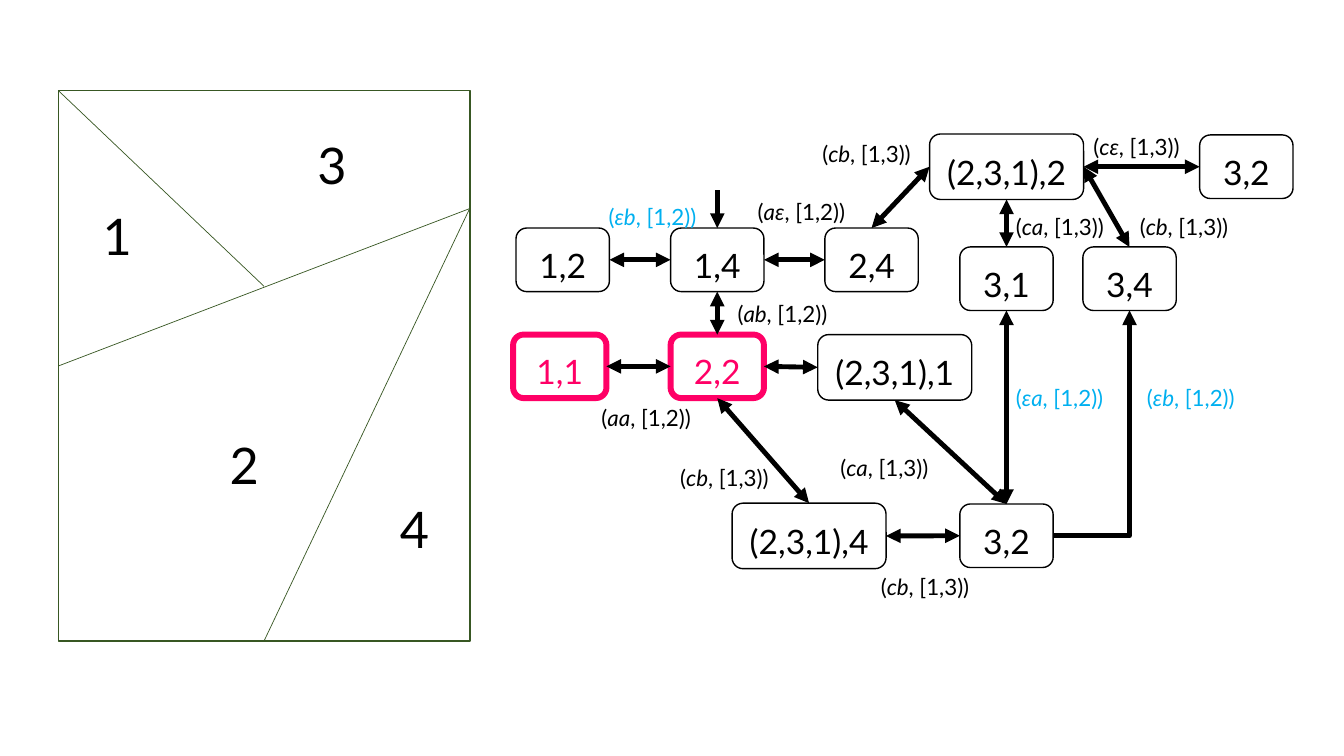
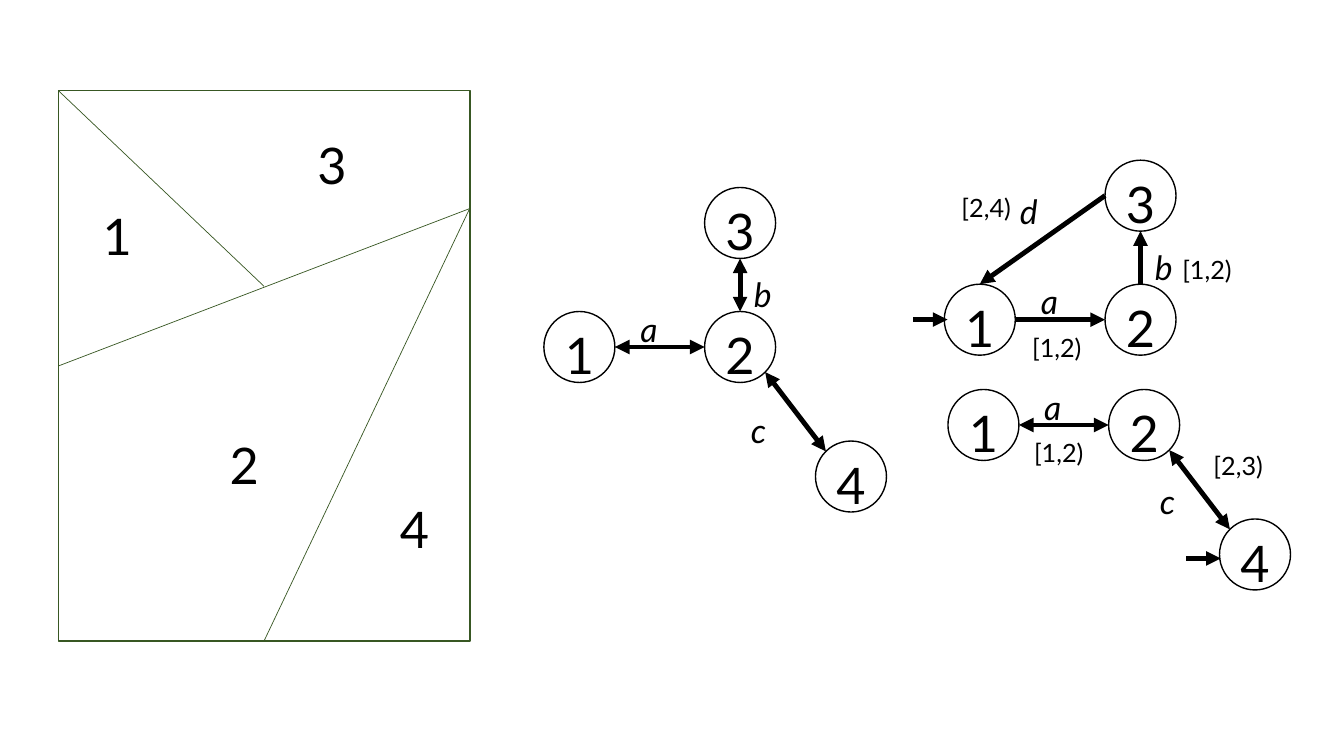
from dataclasses import dataclass
from math import sqrt
from lxml import etree
from pptx import Presentation
from pptx.dml.color import RGBColor
from pptx.enum import shapes, text
from pptx.oxml.ns import qn
from pptx.util import Pt


@dataclass(frozen=True)
class Theme:
    font: str = "Lato"
    ink: str = "000000"
    cyan: str = "00B0F0"
    pink: str = "FF0066"
    green: str = "385723"
    region_size: int = 36
    state_size: int = 24
    interval_size: int = 18
    edge_size: int = 16
    hairline: float = 0.5
    outline: float = 1
    arrow: float = 3.5
    highlight: float = 4.25


THEME = Theme()

MAP_FRAME = (41.8, 64.8, 293.8, 393.1)
FORK = (335.5, 149)
MAP_BORDERS = [
    (FORK, (188.6, 457.9)),
    (FORK, (41.8, 261.4)),
    ((41.8, 64.8), (188.6, 204.5)),
]
MAP_REGIONS = [
    ("1", 66.2, 143.3),
    ("3", 219.6, 92.2),
    ("2", 157, 306.7),
    ("4", 278.6, 352.1),
]

SMALL, WIDE = (66.7, 45.4), (110, 46.8)
TOP, LEFT, BOTTOM, RIGHT = range(4)
STATES = {
    "start": ("1,4", 479, 162.9, SMALL),
    "west": ("1,2", 368.6, 162.9, SMALL),
    "east": ("2,4", 589.2, 162.9, SMALL),
    "goal 1": ("1,1", 366.5, 239, SMALL),
    "goal 2": ("2,2", 479, 239, SMALL),
    "triple 1": ("(2,3,1),1", 584.1, 239, WIDE),
    "triple 2": ("(2,3,1),2", 664, 95.7, WIDE),
    "triple 4": ("(2,3,1),4", 522.9, 359.4, WIDE),
    "lower": ("3,2", 685.6, 360, SMALL),
    "middle": ("3,1", 685.6, 176.4, SMALL),
    "right": ("3,4", 773.5, 176.4, SMALL),
    "corner": ("3,2", 856.9, 96.4, SMALL),
}
GOALS = ("goal 1", "goal 2")
TRANSITIONS = [
    ("west", RIGHT, "start", LEFT),
    ("start", RIGHT, "east", LEFT),
    ("goal 2", TOP, "start", BOTTOM),
    ("goal 2", LEFT, "goal 1", RIGHT),
    ("triple 1", LEFT, "goal 2", RIGHT),
    ("triple 4", TOP, "goal 2", BOTTOM),
    ("triple 4", RIGHT, "lower", LEFT),
    ("lower", TOP, "triple 1", BOTTOM),
    ("east", TOP, "triple 2", LEFT),
    ("middle", TOP, "triple 2", BOTTOM),
    ("right", TOP, "triple 2", RIGHT),
    ("lower", TOP, "middle", BOTTOM),
    ("triple 2", RIGHT, "corner", LEFT),
]
ENTRY = ((512.35, 136), (512.35, 162.9))
TRANSITION_LABELS = [
    ("aa", "[1,2)", 422.6, 285.1, THEME.ink),
    ("ab", "[1,2)", 519.8, 211, THEME.ink),
    ("εb", "[1,2)", 427.7, 141.8, THEME.cyan),
    ("aε", "[1,2)", 534.2, 138.2, THEME.ink),
    ("cb", "[1,3)", 478.8, 328.3, THEME.ink),
    ("ca", "[1,3)", 593.3, 321.1, THEME.ink),
    ("cb", "[1,3)", 622.1, 406.1, THEME.ink),
    ("εa", "[1,2)", 718.6, 270.7, THEME.cyan),
    ("εb", "[1,2)", 812.2, 270.7, THEME.cyan),
    ("cb", "[1,3)", 580.3, 96.5, THEME.ink),
    ("cε", "[1,3)", 774, 91.4, THEME.ink),
    ("ca", "[1,3)", 718.6, 149, THEME.ink),
    ("cb", "[1,3)", 807.1, 149, THEME.ink),
]

CIRCLE = 50.7
ENTRY_LENGTH = 24.5
CIRCLE_OFFSETS = {"1": (0, 0), "2": (114.8, 0), "3": (114.8, -88.6), "4": (194, 92.5)}
DIAGONAL = sqrt(0.5)
COMPASS = {
    "n": (0, -1), "s": (0, 1), "w": (-1, 0), "e": (1, 0),
    "nw": (-DIAGONAL, -DIAGONAL), "se": (DIAGONAL, DIAGONAL),
}
ROUTES = {
    "a": ("1", "e", "2", "w"),
    "b": ("2", "n", "3", "s"),
    "c": ("2", "se", "4", "nw"),
    "d": ("3", "w", "1", "n"),
}
GRAPHS = [
    {
        "origin": (388.5, 222.5), "circles": "1243", "both": True, "entry": None,
        "letters": [("a", 61.9, -5.6), ("c", 140.7, 67), ("b", 142.9, -30.2)],
        "intervals": [],
    },
    {
        "origin": (674.5, 203), "circles": "123", "both": False, "entry": (-22.2, 25.3),
        "letters": [("a", 62, -5.6), ("b", 143.4, -30.2), ("d", 46.9, -70.5)],
        "intervals": [("[1,2)", 55.6, 31), ("[2,4)", 5.2, -69.1), ("[1,2)", 162.9, -25.2)],
    },
    {
        "origin": (677.1, 278.2), "circles": "124", "both": True, "entry": (170.4, 120.7),
        "letters": [("a", 61.6, -5.3), ("c", 144.4, 61.6)],
        "intervals": [("[1,2)", 54.4, 30.7), ("[2,3)", 182.6, 40)],
    },
]


def points(*values):
    return [Pt(value) for value in values]


def shift(point, offset):
    return point[0] + offset[0], point[1] + offset[1]


def style_font(font, size, color):
    font.name, font.size = THEME.font, Pt(size)
    font.color.rgb = RGBColor.from_string(color)


def style_line(line, color, width):
    line.color.rgb = RGBColor.from_string(color)
    line.width = Pt(width)


def add_outline(holder, kind, frame, color, width):
    shape = holder.add_shape(kind, *points(*frame))
    shape.shadow.inherit = False
    shape.fill.background()
    style_line(shape.line, color, width)
    return shape


def add_node(page, kind, frame, label, size, color=THEME.ink, width=THEME.outline):
    node = add_outline(page.shapes, kind, frame, color, width)
    box = node.text_frame
    box.vertical_anchor = text.MSO_ANCHOR.MIDDLE
    box.margin_left = box.margin_right = 0
    para = box.paragraphs[0]
    para.text = label
    para.alignment = text.PP_ALIGN.CENTER
    para.line_spacing = 1.25
    style_font(para.font, size, color)
    return node


def add_label(holder, spans, frame, size, color=THEME.ink, wrap=False):
    box = holder.add_textbox(*points(*frame)).text_frame
    box.word_wrap = wrap
    box.auto_size = text.MSO_AUTO_SIZE.SHAPE_TO_FIT_TEXT
    para = box.paragraphs[0]
    style_font(para.font, size, color)
    for words, italic in spans:
        span = para.add_run()
        span.text = words
        style_font(span.font, size, color)
        span.font.italic = italic


def add_line(holder, start, end, color=THEME.ink, width=THEME.arrow, heads=(),
             kind=shapes.MSO_CONNECTOR.STRAIGHT):
    line = holder.add_connector(kind, *points(*start, *end))
    style_line(line.line, color, width)
    properties = line.element.spPr
    for head in heads:
        etree.SubElement(properties.find(qn("a:ln")), qn(head)).set("type", "triangle")
    etree.SubElement(properties, qn("a:effectLst"))
    return line


END_HEAD = ("a:tailEnd",)
BOTH_HEADS = ("a:headEnd", "a:tailEnd")


def add_map(page):
    holder = page.shapes.add_group_shape().shapes
    add_outline(holder, shapes.MSO_SHAPE.RECTANGLE, MAP_FRAME, THEME.green, THEME.outline)
    for start, end in MAP_BORDERS:
        add_line(holder, start, end, THEME.green, THEME.hairline)
    for name, left, top in MAP_REGIONS:
        add_label(holder, [(name, False)], (left, top, 20.2, 51.1), THEME.region_size, wrap=True)


def state_site(name, site):
    _, left, top, (width, height) = STATES[name]
    across, down = {TOP: (0.5, 0), LEFT: (0, 0.5), BOTTOM: (0.5, 1), RIGHT: (1, 0.5)}[site]
    return left + across * width, top + down * height


def add_automaton(page):
    nodes = {}
    for name, (label, left, top, size) in STATES.items():
        color, width = (THEME.pink, THEME.highlight) if name in GOALS else (THEME.ink, THEME.outline)
        nodes[name] = add_node(page, shapes.MSO_SHAPE.ROUNDED_RECTANGLE, (left, top, *size),
                               label, THEME.state_size, color, width)

    def join(source, leaving, target, entering, **look):
        line = add_line(page.shapes, state_site(source, leaving), state_site(target, entering), **look)
        line.begin_connect(nodes[source], leaving)
        line.end_connect(nodes[target], entering)
        return line

    for transition in TRANSITIONS:
        join(*transition, heads=BOTH_HEADS)
    elbow = join("lower", RIGHT, "right", BOTTOM, heads=END_HEAD, kind=shapes.MSO_CONNECTOR.ELBOW)
    elbow.element.spPr.find(qn("a:prstGeom")).set("prst", "bentConnector2")
    add_line(page.shapes, *ENTRY, heads=END_HEAD)
    for letters, interval, left, top, color in TRANSITION_LABELS:
        spans = [("(", False), (letters, True), (f", {interval})", False)]
        add_label(page.shapes, spans, (left, top, 83.5, 26.6), THEME.edge_size, color)


def add_graph(page, graph):
    origin = graph["origin"]

    def rim(name, direction):
        center = shift(shift(origin, CIRCLE_OFFSETS[name]), (CIRCLE / 2, CIRCLE / 2))
        return shift(center, [CIRCLE / 2 * part for part in COMPASS[direction]])

    for name in graph["circles"]:
        frame = (*shift(origin, CIRCLE_OFFSETS[name]), CIRCLE, CIRCLE)
        add_node(page, shapes.MSO_SHAPE.OVAL, frame, name, THEME.region_size)
    for letter, *offset in graph["letters"]:
        source, leaving, target, entering = ROUTES[letter]
        add_line(page.shapes, rim(source, leaving), rim(target, entering),
                 heads=BOTH_HEADS if graph["both"] else END_HEAD)
        add_label(page.shapes, [(letter, True)], (*shift(origin, offset), 26.3, 36),
                  THEME.state_size)
    for interval, *offset in graph["intervals"]:
        add_label(page.shapes, [(interval, False)], (*shift(origin, offset), 51.1, 28.8),
                  THEME.interval_size, wrap=True)
    if graph["entry"]:
        start = shift(origin, graph["entry"])
        add_line(page.shapes, start, shift(start, (ENTRY_LENGTH, 0)), heads=END_HEAD)


deck = Presentation()
deck.slide_width, deck.slide_height = points(960, 540)
automaton_page, graph_page = [deck.slides.add_slide(deck.slide_layouts[6]) for _ in range(2)]
for page in (automaton_page, graph_page):
    add_map(page)
add_automaton(automaton_page)
for graph in GRAPHS:
    add_graph(graph_page, graph)
deck.save("out.pptx")
